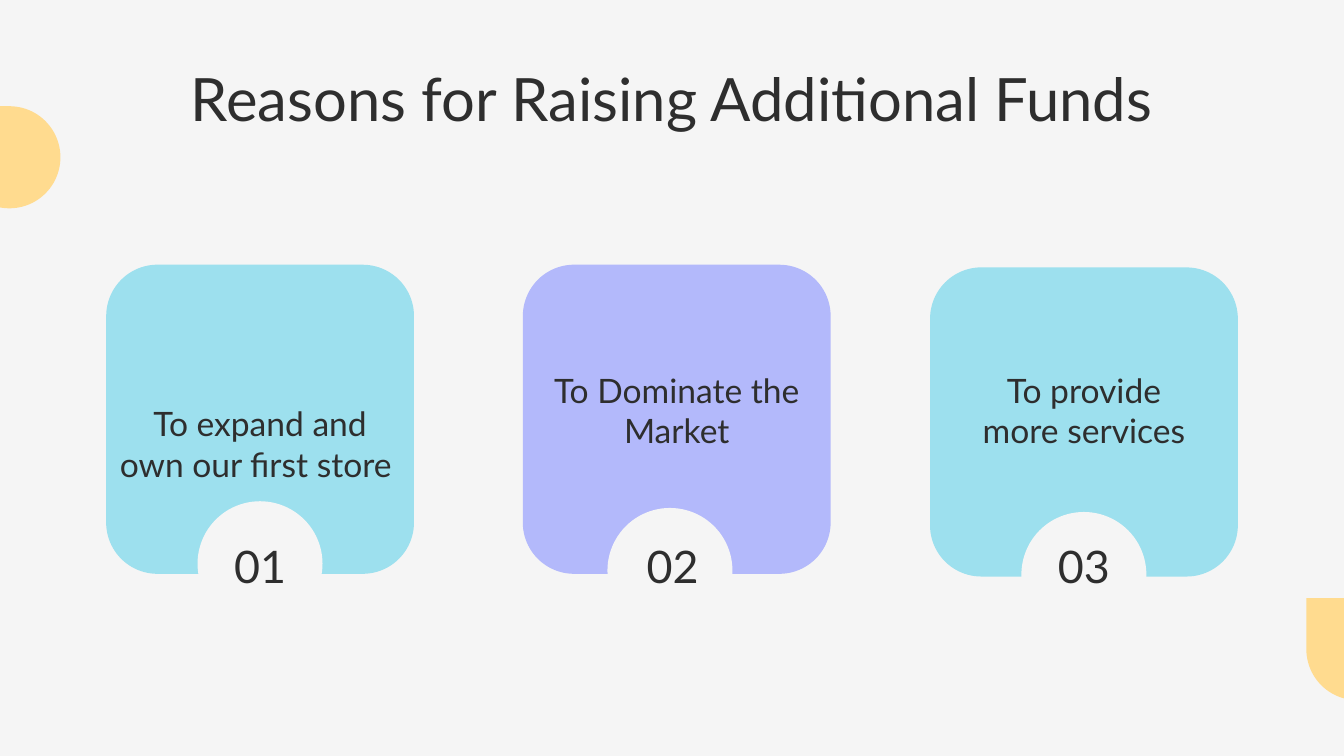
import pptx
from pptx.dml.color import RGBColor
from pptx.enum.shapes import MSO_SHAPE
from pptx.enum.text import MSO_ANCHOR, PP_ALIGN
from pptx.util import Inches, Pt

PAPER = RGBColor(0xF5, 0xF5, 0xF5)
INK = RGBColor(0x2E, 0x2E, 0x2E)
YELLOW = RGBColor(0xFF, 0xDB, 0x8F)
AQUA = RGBColor(0x9D, 0xE0, 0xEE)
LILAC = RGBColor(0xB3, 0xB9, 0xFB)

WIDTH = 10
HEIGHT = WIDTH * 9 / 16
CARD_W, CARD_H = 2.29, 2.3
NOTCH = 0.93
DROP = 0.76
REASON_H = 1.17
NUMBER_W, NUMBER_H, NUMBER_TOP = 1.73, 0.3, 4.06
NO_BREAK_SPACE = chr(160)

# number, reason, fill, card left and top, text bottom, notch top, notch and number shift
CARDS = [
    ("01", "To expand and own our first store ", AQUA, 0.79, 1.97, 3.7, 3.73, 0, 0),
    ("02", "To Dominate the Market", LILAC, 3.89, 1.97, 3.45, 3.78, -0.05, -0.03),
    ("03", f"To provide more{NO_BREAK_SPACE}services", AQUA, 6.92, 1.99, 3.45, 3.81, 0, 0),
]


def add_filled(s, kind, box, color):
    sp = s.shapes.add_shape(kind, *map(Inches, box))
    sp.shadow.inherit = False
    sp.fill.solid()
    sp.fill.fore_color.rgb = color
    sp.line.fill.background()
    return sp


def format_text(sp, text, size, anchor):
    tf = sp.text_frame
    tf.text = text
    tf.word_wrap = True
    tf.vertical_anchor = anchor
    tf.margin_left = tf.margin_right = tf.margin_top = tf.margin_bottom = Inches(0.1)
    p = tf.paragraphs[0]
    p.alignment = PP_ALIGN.CENTER
    font = p.runs[0].font
    font.name, font.size, font.color.rgb = "Lato", Pt(size), INK


def add_text(s, box, text, size, anchor):
    format_text(s.shapes.add_textbox(*map(Inches, box)), text, size, anchor)


def add_title(s, text, box):
    sp = s.shapes.title
    sp.left, sp.top, sp.width, sp.height = map(Inches, box)
    format_text(sp, text, 32, MSO_ANCHOR.TOP)


def add_drop(s, left, top):
    sp = add_filled(s, MSO_SHAPE.TEAR, (left, top, DROP, DROP), YELLOW)
    sp.adjustments[0] = 1
    sp.rotation = 270


def add_card(s, number, reason, color, left, top, text_bottom, notch_top,
             notch_shift, number_shift):
    """Rounded card with a round notch on its lower edge that holds the number."""
    center = left + CARD_W / 2
    add_filled(s, MSO_SHAPE.ROUNDED_RECTANGLE, (left, top, CARD_W, CARD_H), color)
    add_text(s, (left, text_bottom - REASON_H, CARD_W, REASON_H),
             reason, 18, MSO_ANCHOR.BOTTOM)
    add_filled(s, MSO_SHAPE.OVAL,
               (center - NOTCH / 2 + notch_shift, notch_top, NOTCH, NOTCH), PAPER)
    add_text(s, (center - NUMBER_W / 2 + number_shift, NUMBER_TOP, NUMBER_W, NUMBER_H),
             number, 24, MSO_ANCHOR.MIDDLE)


def main():
    prs = pptx.Presentation()
    prs.slide_width, prs.slide_height = Inches(WIDTH), Inches(HEIGHT)
    s = prs.slides.add_slide(prs.slide_layouts.get_by_name("Title Only"))
    s.background.fill.solid()
    s.background.fill.fore_color.rgb = PAPER

    add_drop(s, -0.31, 0.79)
    add_drop(s, 9.72, 4.45)
    add_title(s, "Reasons for Raising Additional Funds", (1.17, 0.36, 7.66, 0.69))
    for card in CARDS:
        add_card(s, *card)
    prs.save("out.pptx")


if __name__ == "__main__":
    main()
